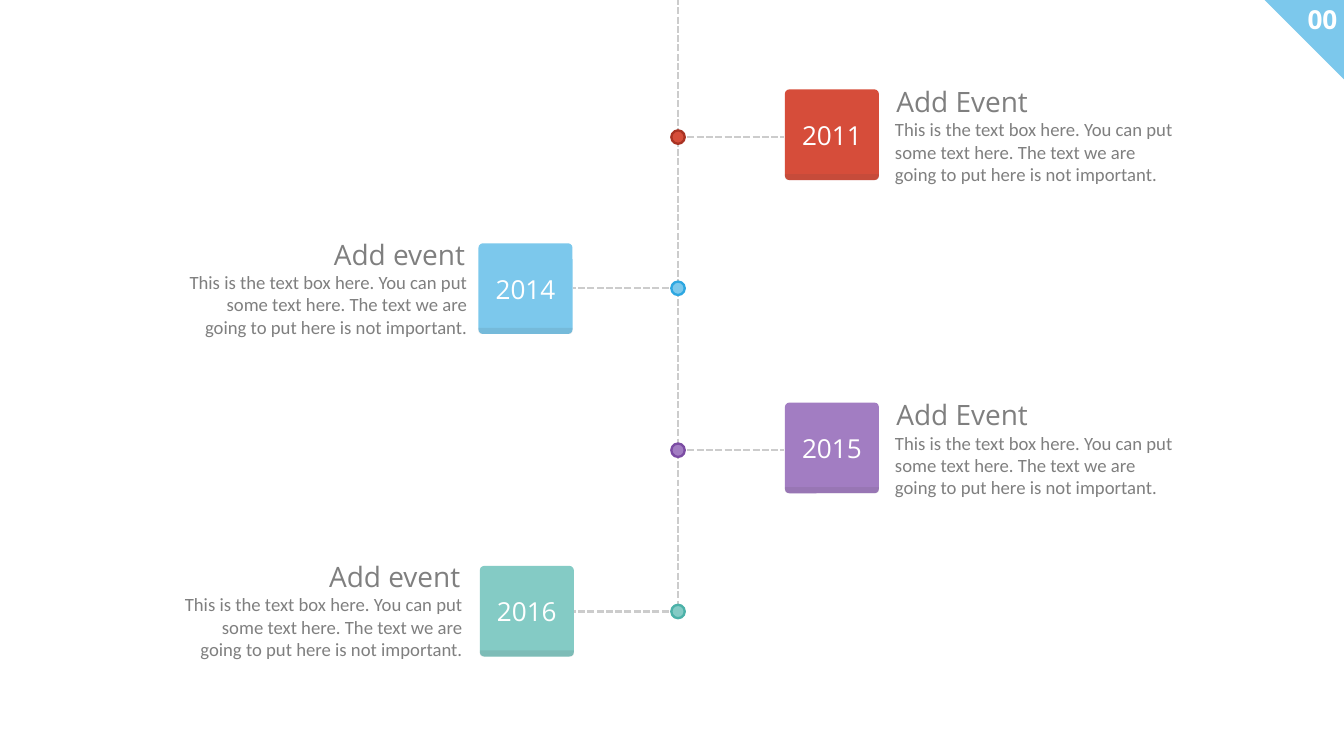
from lxml.etree import SubElement
from pptx import Presentation
from pptx.dml.color import RGBColor
from pptx.enum.dml import MSO_LINE
from pptx.enum.shapes import MSO_CONNECTOR, MSO_SHAPE
from pptx.enum.text import MSO_ANCHOR, MSO_AUTO_SIZE, PP_ALIGN
from pptx.oxml.ns import qn
from pptx.util import Pt

EMU_PER_PX = 9144
BODY = ("This is the text box here. You can put some text here. "
        "The text we are going to put here is not important.")


def px(length):
    """Turn px, 100 to the inch, into EMU."""
    return length * EMU_PER_PX


def color(value):
    """Turn a hex string into a colour."""
    return RGBColor.from_string(value)


def write(text_frame, text, size=20, font="Open Sans", ink="7F7F7F",
          bold=False, align=PP_ALIGN.LEFT):
    """Write one formatted paragraph into a text frame."""
    paragraph = text_frame.paragraphs[0]
    paragraph.alignment = align
    run = paragraph.add_run()
    run.text = text
    run.font.size = Pt(size)
    run.font.name = font
    run.font.bold = bold
    run.font.color.rgb = color(ink)


class TimelineSlide:
    """Hold the timeline's style and the slide it is drawn on."""

    accent = "7CC8EC"
    rule = "CCCCCC"
    white = "FFFFFF"
    shade = "404040"
    axis_x = 1009
    stroke = Pt(2.5)

    def __init__(self, presentation):
        """Add a blank slide."""
        self.slide = presentation.slides.add_slide(presentation.slide_layouts[6])

    def shape(self, kind, x, y, width, height, fill, outline=None, adjust=(), alpha=None):
        """Add a flat preset shape."""
        shape = self.slide.shapes.add_shape(kind, px(x), px(y), px(width), px(height))
        shape.shadow.inherit = False
        for index, value in enumerate(adjust):
            shape.adjustments[index] = value
        shape.fill.solid()
        shape.fill.fore_color.rgb = color(fill)
        if alpha is not None:
            rgb = shape.fill._xPr.find(qn("a:solidFill"))[0]
            SubElement(rgb, qn("a:alpha")).set("val", str(alpha * 1000))
        if outline:
            shape.line.color.rgb = color(outline)
            shape.line.width = self.stroke
        else:
            shape.line.fill.background()
        return shape

    def dashed_line(self, x1, y1, x2, y2):
        """Add a dashed straight connector."""
        line = self.slide.shapes.add_connector(
            MSO_CONNECTOR.STRAIGHT, px(x1), px(y1), px(x2), px(y2))
        line.line.color.rgb = color(self.rule)
        line.line.width = self.stroke
        line.line.dash_style = MSO_LINE.SQUARE_DOT
        SubElement(line._element.spPr, qn("a:effectLst"))

    def text(self, x, y, width, height, text, wrap=False, **style):
        """Add a text box."""
        box = self.slide.shapes.add_textbox(px(x), px(y), px(width), px(height))
        box.text_frame.word_wrap = wrap
        box.text_frame.auto_size = MSO_AUTO_SIZE.SHAPE_TO_FIT_TEXT
        write(box.text_frame, text, **style)

    def page_corner(self, number):
        """Add the corner triangle with the page number."""
        corner = self.shape(MSO_SHAPE.ISOSCELES_TRIANGLE, 1882, 0, 118, 118,
                            self.accent, adjust=(0,))
        corner.rotation = 180
        self.text(1935, 0, 65, 57, number, size=28, ink=self.white, bold=True,
                  align=PP_ALIGN.RIGHT)

    def tile(self, x, y, year, fill):
        """Add a year tile with a darker bottom edge."""
        tile = self.shape(MSO_SHAPE.ROUNDED_RECTANGLE, x, y, 140, 135, fill,
                          adjust=(0.05,))
        tile.text_frame.vertical_anchor = MSO_ANCHOR.MIDDLE
        write(tile.text_frame, year, size=28, ink=self.white, align=PP_ALIGN.CENTER)
        self.shape(MSO_SHAPE.ROUND_2_SAME_RECTANGLE, x, y + 126, 140, 9, self.shade,
                   adjust=(0, 0.5), alpha=10)

    def event(self, year, fill, outline, dot_y, tile_x, tile_y, text_x, text_y):
        """Add one event with its branch, dot, tile and text."""
        on_right = tile_x > self.axis_x
        self.dashed_line(self.axis_x, dot_y, 1167 if on_right else 852, dot_y)
        self.shape(MSO_SHAPE.OVAL, self.axis_x - 10, dot_y - 10, 20, 20, fill, outline)
        title = "Add Event" if on_right else "Add event"
        align = PP_ALIGN.LEFT if on_right else PP_ALIGN.RIGHT
        title_x = text_x + (2 if on_right else 220)
        self.text(title_x, text_y, 217, 61, title, size=30, align=align)
        self.text(text_x, text_y + 50, 440, 111, BODY, wrap=True, font="Calibri",
                  align=align)
        self.tile(tile_x, tile_y, year, fill)


def main():
    """Build the timeline slide and save it."""
    presentation = Presentation()
    presentation.slide_width, presentation.slide_height = px(2000), px(1125)
    timeline = TimelineSlide(presentation)
    timeline.page_corner("00")
    for top, bottom in ((-17, 204), (194, 431), (431, 667), (672, 908)):
        timeline.dashed_line(timeline.axis_x, top, timeline.axis_x, bottom)
    events = (
        ("2011", "D64D3A", "A93323", 204, 1168, 133, 1322, 121),
        ("2014", "7CC8EC", "2DA7E1", 429, 712, 362, 265, 348),
        ("2015", "A27DC2", "7B4CA3", 670, 1168, 599, 1322, 587),
        ("2016", "84CBC5", "4BB1A8", 910, 714, 842, 258, 828),
    )
    for event in events:
        timeline.event(*event)
    presentation.save("out.pptx")


if __name__ == "__main__":
    main()
